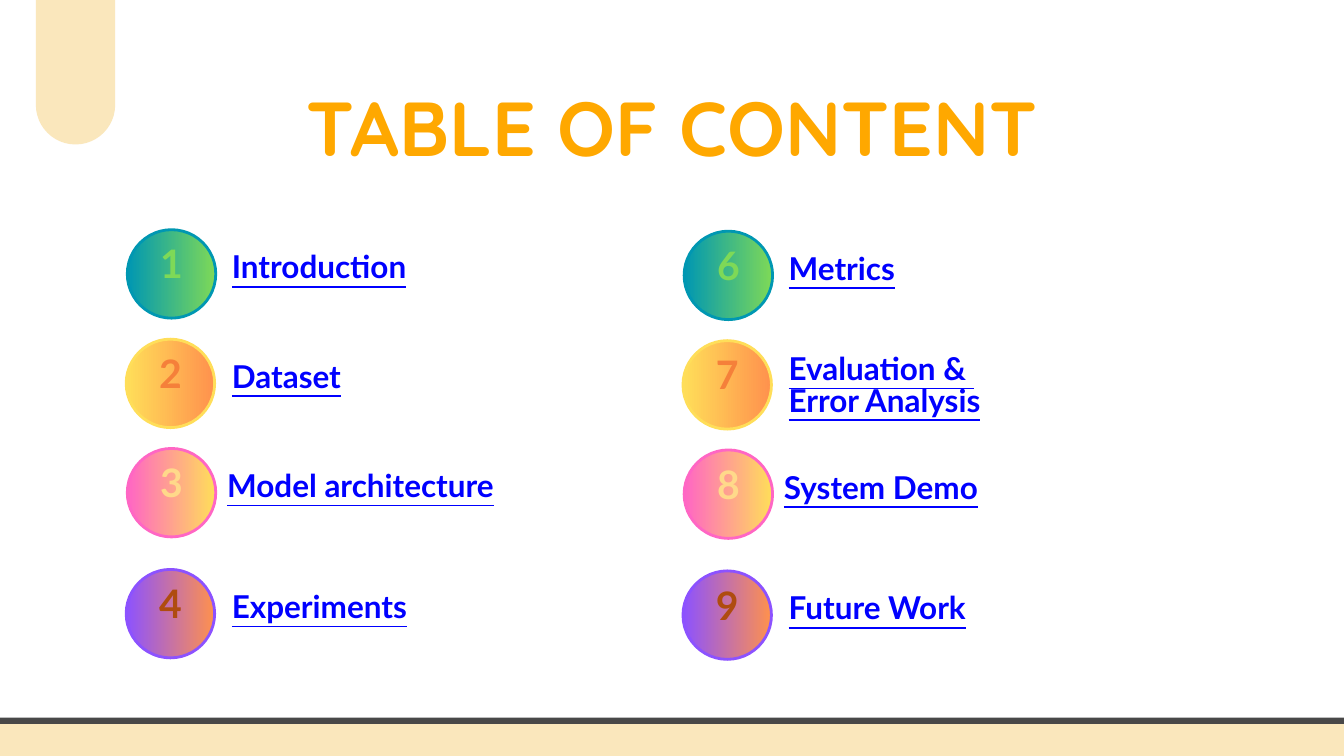
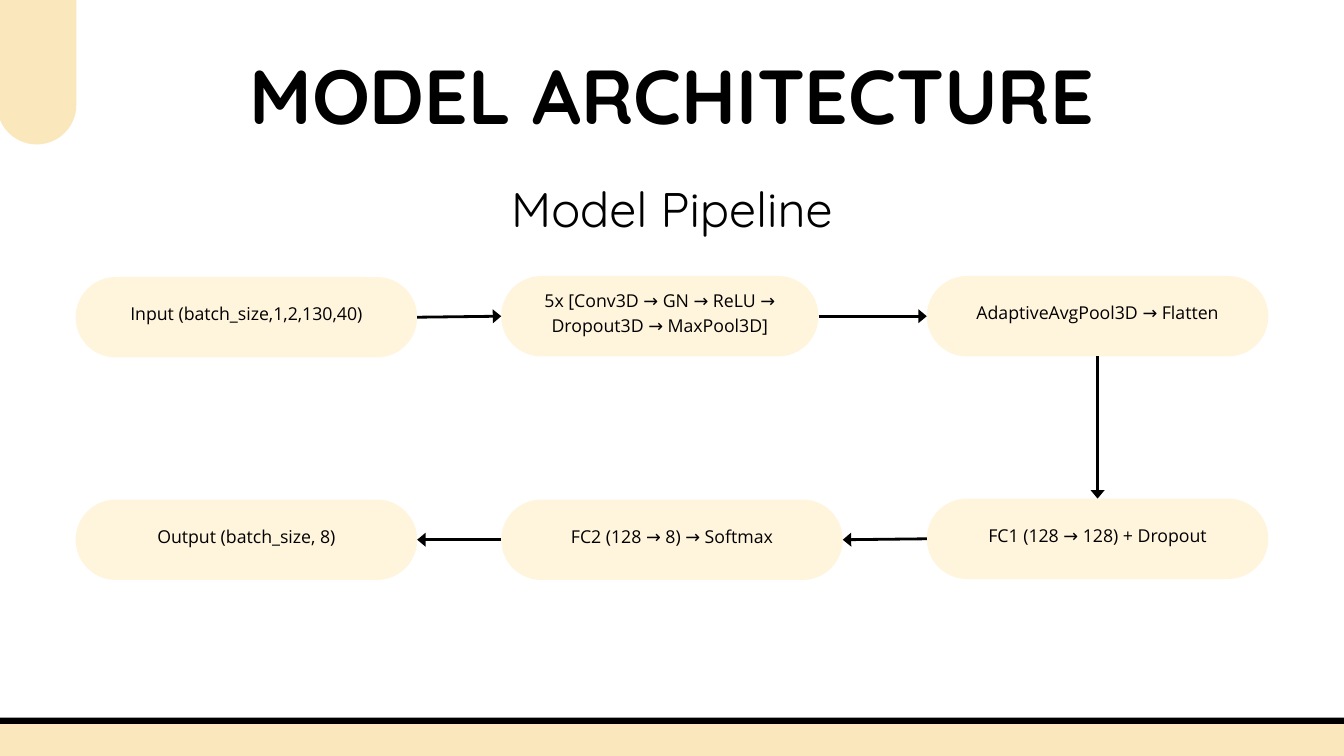
from copy import deepcopy
from dataclasses import dataclass
from itertools import pairwise

from lxml import etree
from pptx import Presentation
from pptx import util as u
from pptx.dml.color import RGBColor
from pptx.enum import shapes, text
from pptx.oxml import ns

WIDE, HIGH = 1440, 810
WHITE = RGBColor(0xFF, 0xFF, 0xFF)
BLACK = RGBColor(0, 0, 0)
GRAY = RGBColor(0x49, 0x48, 0x48)
SAND = RGBColor(0xFA, 0xE7, 0xBC)
CREAM = RGBColor(0xFF, 0xF4, 0xDC)
AMBER = RGBColor(0xFF, 0xA8, 0x00)
BLUE = RGBColor(0, 0, 0xFF)
TEAL = RGBColor(0x00, 0x97, 0xB2)
GREEN = RGBColor(0x7E, 0xD9, 0x57)
LEMON = RGBColor(0xFF, 0xDE, 0x59)
CORAL = RGBColor(0xFF, 0x91, 0x4D)
PINK = RGBColor(0xFF, 0x66, 0xC4)
ORANGE = RGBColor(0xF5, 0x80, 0x3A)
PEACH = RGBColor(0xFF, 0xD9, 0x8A)
VIOLET = RGBColor(0x8C, 0x52, 0xFF)
RUST = RGBColor(0xAF, 0x4C, 0x0F)

LEFT, MID = text.PP_ALIGN.LEFT, text.PP_ALIGN.CENTER
DISC = 94.8
PILL_H = 86.2


@dataclass(frozen=True)
class Box:
    left: float
    top: float
    width: float
    height: float

    def emu(self) -> tuple:
        return tuple(u.Pt(n) for n in (self.left, self.top, self.width, self.height))


@dataclass(frozen=True)
class Style:
    font: str
    size: float
    lead: float
    color: RGBColor
    bold: bool = False
    under: bool = False
    align: text.PP_ALIGN = MID


@dataclass(frozen=True)
class Row:
    left: float
    top: float
    start: RGBColor
    end: RGBColor
    ink: RGBColor
    gap: float
    width: float


@dataclass(frozen=True)
class Step:
    label: str
    left: float
    top: float
    width: float = 366


LINK = Style("Lato", 33.7, 33.7, BLUE, True, True, LEFT)
STEP = Style("Open Sans", 19, 26.6, BLACK)
HEAD = Style("Quicksand", 52, 72.8, BLACK)

ROWS = [
    Row(136.4, 246.1, TEAL, GREEN, GREEN, 112, 412.6),
    Row(135.2, 363.4, LEMON, CORAL, ORANGE, 113.2, 444.2),
    Row(136.4, 480.5, PINK, LEMON, PEACH, 107, 402.5),
    Row(135.2, 610.1, VIOLET, CORAL, RUST, 113.2, 444.2),
]
COLUMNS = [
    (0, 0, 1, ["Introduction", "Dataset", "Model architecture", "Experiments"]),
    (596.6, 1.6, 6,
     ["Metrics", "Evaluation & \nError Analysis", "System Demo", "Future Work"]),
]
STEPS = [
    Step("Input (batch_size,1,2,130,40)", 81, 296.8),
    Step("5x [Conv3D → GN → ReLU → Dropout3D → MaxPool3D]", 537, 295.7, 340),
    Step("AdaptiveAvgPool3D → Flatten", 993, 295.7),
    Step("FC1 (128 → 128) + Dropout", 993, 534.2),
    Step("FC2 (128 → 8) → Softmax", 537, 535.2),
    Step("Output (batch_size, 8)", 81, 535.2),
]
TOP, WEST, BASE, EAST = range(4)
PORTS = [(EAST, WEST), (EAST, WEST), (BASE, TOP), (WEST, EAST), (WEST, EAST)]


def write(slide, box: Box, words: str, style: Style, inset: float = 0,
          grow: bool = True) -> None:
    frame = slide.shapes.add_textbox(*box.emu()).text_frame
    frame.word_wrap = True
    frame.margin_left = frame.margin_right = u.Pt(inset)
    frame.margin_top = frame.margin_bottom = u.Pt(inset)
    if grow:
        frame.auto_size = text.MSO_AUTO_SIZE.SHAPE_TO_FIT_TEXT
    else:
        frame.vertical_anchor = text.MSO_ANCHOR.MIDDLE
    for i, line in enumerate(words.split("\n")):
        para = frame.add_paragraph() if i else frame.paragraphs[0]
        para.alignment = style.align
        para.line_spacing = u.Pt(style.lead)
        run = para.add_run()
        run.text = line
        run.font.name = style.font
        run.font.size = u.Pt(style.size)
        run.font.bold = style.bold
        run.font.underline = style.under
        run.font.color.rgb = style.color


def round_box(slide, box: Box, fill: RGBColor, bend: float = 0.5):
    shape = slide.shapes.add_shape(shapes.MSO_SHAPE.ROUNDED_RECTANGLE, *box.emu())
    shape.adjustments[0] = bend
    shape.shadow.inherit = False
    shape.fill.solid()
    shape.fill.fore_color.rgb = fill
    shape.line.fill.background()
    return shape


def frame_page(deck, shift: float, edge: RGBColor):
    slide = deck.slides.add_slide(deck.slide_layouts[6])
    slide.background.fill.solid()
    slide.background.fill.fore_color.rgb = WHITE
    band = round_box(slide, Box(shift / 2 - 41.8, 772.2, 1523.5, 64.8), SAND, 0.09)
    band.line.color.rgb = edge
    band.line.width = u.Pt(6.75)
    round_box(slide, Box(shift + 38.4, -77.8, 85, 232.6), SAND)
    return slide


def title(slide, words: str, box: Box, color: RGBColor) -> None:
    write(slide, box, words, Style("Quicksand", 81.9, 114.7, color, True))


def disc(slide, left: float, top: float, row: Row) -> None:
    box = Box(left, top, DISC, DISC)
    shape = slide.shapes.add_shape(shapes.MSO_SHAPE.OVAL, *box.emu())
    shape.shadow.inherit = False
    shape.fill.gradient()
    shape.fill.gradient_angle = 0
    for stop, color in zip(shape.fill.gradient_stops, (row.start, row.end)):
        stop.color.rgb = color
    shape.line.width = u.Pt(3)
    props = shape.element.spPr
    blend = deepcopy(props.find(ns.qn("a:gradFill")))
    props.find(ns.qn("a:ln")).insert(0, blend)


def entry(slide, row: Row, left: float, top: float, mark: int, label: str) -> None:
    lines = label.count("\n") + 1
    drop = 25.6 if lines == 1 else 15.8
    write(slide, Box(left + row.gap, top + drop, row.width, 42 + 32 * (lines - 1)),
          label, LINK)
    disc(slide, left, top, row)
    write(slide, Box(left + DISC / 2 - 60, top + 19, 120, 53.3), str(mark),
          Style("Lato", 42, 42, row.ink, True))


def arrow(slide, tail, head, ports: tuple[int, int]) -> None:
    line = slide.shapes.add_connector(shapes.MSO_CONNECTOR.STRAIGHT, 0, 0, 0, 0)
    line.begin_connect(tail, ports[0])
    line.end_connect(head, ports[1])
    line.line.color.rgb = BLACK
    line.line.width = u.Pt(3)
    props = line.element.spPr
    etree.SubElement(props.find(ns.qn("a:ln")), ns.qn("a:tailEnd"),
                     type="triangle", w="lg", len="med")
    etree.SubElement(props, ns.qn("a:effectLst"))


def contents(deck) -> None:
    slide = frame_page(deck, 0, GRAY)
    title(slide, "TABLE OF CONTENT", Box(235.6, 69, 968.6, 109.6), AMBER)
    for dx, dy, first, labels in COLUMNS:
        for i, (row, label) in enumerate(zip(ROWS, labels)):
            entry(slide, row, row.left + dx, row.top + dy, first + i, label)


def model(deck) -> None:
    slide = frame_page(deck, -41.6, BLACK)
    title(slide, "MODEL ARCHITECTURE", Box(253.4, 34.6, 933, 110), BLACK)
    write(slide, Box(533, 181.4, 374, 70), "Model Pipeline", HEAD)
    pills = []
    for step in STEPS:
        pills.append(round_box(
            slide, Box(step.left, step.top, step.width, PILL_H), CREAM))
        write(slide, Box(step.left, step.top - 11.5, step.width, PILL_H + 11.5),
              step.label, STEP, 4, False)
    for (tail, head), ports in zip(pairwise(pills), PORTS):
        arrow(slide, tail, head, ports)


def main() -> None:
    deck = Presentation()
    deck.slide_width, deck.slide_height = u.Pt(WIDE), u.Pt(HIGH)
    contents(deck)
    model(deck)
    deck.save("out.pptx")


if __name__ == "__main__":
    main()
